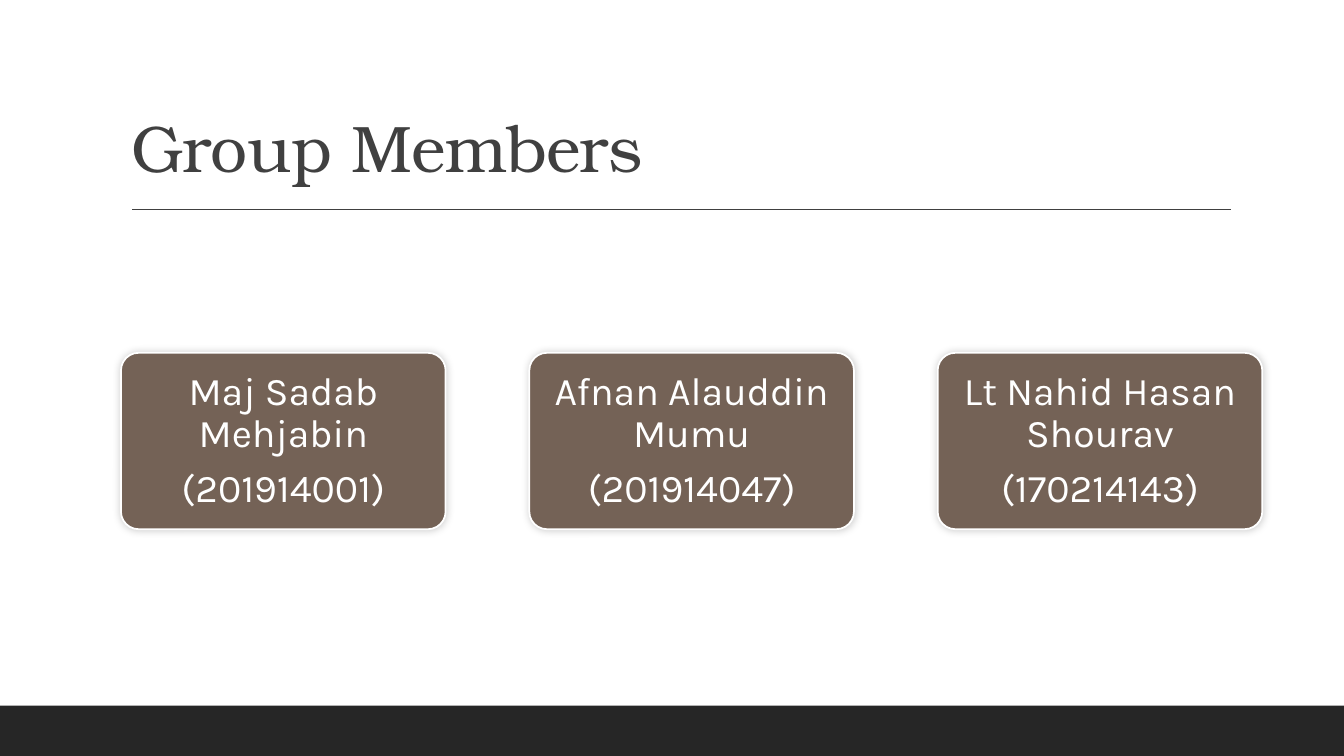
from dataclasses import dataclass

from lxml import etree
from pptx import Presentation
from pptx import util as u
from pptx.dml import color
from pptx.enum import shapes, text
from pptx.oxml import ns

WIDTH, HEIGHT = u.Inches(13.33), u.Inches(7.5)
COLORS = {"ink": "404040", "band": "262626", "card": "746256",
          "white": "FFFFFF", "shadow": "000000"}
FONTS = {"title": "TeX Gyre Bonum", "card": "Karla"}
MARGIN, CARD_TOP = 0.09, 3.5 / 7.5
CARD_WIDTH, CARD_HEIGHT = 3.22 / 13.33, 1.75 / 7.5
CARD_STEP = 4.05 / 13.33


@dataclass(frozen=True)
class Member:
    name: str
    number: str


MEMBERS = [
    Member("Maj Sadab Mehjabin", "(201914001)"),
    Member("Afnan Alauddin Mumu", "(201914047)"),
    Member("Lt Nahid Hasan Shourav", "(170214143)"),
]


def across(share: float) -> int:
    return round(WIDTH * share)


def down(share: float) -> int:
    return round(HEIGHT * share)


def rgb(name: str) -> color.RGBColor:
    return color.RGBColor.from_string(COLORS[name])


def style_font(font, face: str, size: float, ink: str) -> None:
    font.name = FONTS[face]
    font.size = u.Pt(size)
    font.color.rgb = rgb(ink)


def add_band(page) -> None:
    band = page.shapes.add_shape(shapes.MSO_SHAPE.RECTANGLE,
                                 0, down(14 / 15), WIDTH, down(1 / 15))
    band.fill.solid()
    band.fill.fore_color.rgb = rgb("band")
    band.line.fill.background()
    band.shadow.inherit = False


def add_rule(page) -> None:
    height = down(2.08 / 7.5)
    rule = page.shapes.add_connector(shapes.MSO_CONNECTOR.STRAIGHT,
                                     across(1.31 / 13.33), height,
                                     across(12.21 / 13.33), height)
    rule.line.color.rgb = rgb("ink")
    rule.line.width = u.Pt(1)
    etree.SubElement(rule._element.spPr, ns.qn("a:effectLst"))


def format_title(page, wording: str) -> None:
    title = page.shapes.title
    title.left, title.top = across(MARGIN), down(0.31 / 7.5)
    title.width, title.height = across(11 / 13.33), down(1.59 / 7.5)
    frame = title.text_frame
    frame.text = wording
    frame.auto_size = text.MSO_AUTO_SIZE.NONE
    frame.vertical_anchor = text.MSO_ANCHOR.BOTTOM
    para = frame.paragraphs[0]
    para.alignment = text.PP_ALIGN.LEFT
    para.line_spacing = 0.9
    span = para.runs[0]
    style_font(span.font, "title", 47, "ink")
    span.font._element.set("spc", "-50")


def add_glow(box) -> None:
    box.shadow.inherit = False
    effects = box._element.spPr.find(ns.qn("a:effectLst"))
    shadow = etree.SubElement(effects, ns.qn("a:outerShdw"),
                              blurRad=str(u.Pt(6)), dist="0",
                              dir=str(225 * 60000), rotWithShape="0")
    shade = etree.SubElement(shadow, ns.qn("a:srgbClr"), val=COLORS["shadow"])
    etree.SubElement(shade, ns.qn("a:alpha"), val="20000")


def add_card(page, column: int, member: Member) -> None:
    box = page.shapes.add_shape(shapes.MSO_SHAPE.ROUNDED_RECTANGLE,
                                across(MARGIN + column * CARD_STEP), down(CARD_TOP),
                                across(CARD_WIDTH), down(CARD_HEIGHT))
    box.adjustments[0] = 0.1
    box.fill.solid()
    box.fill.fore_color.rgb = rgb("card")
    box.line.color.rgb = rgb("white")
    box.line.width = u.Pt(1.25)
    add_glow(box)
    frame = box.text_frame
    frame.word_wrap = True
    frame.vertical_anchor = text.MSO_ANCHOR.MIDDLE
    frame.margin_left = frame.margin_right = u.Inches(0.18)
    frame.margin_top = frame.margin_bottom = u.Inches(0.18)
    frame.text = f"{member.name}\n{member.number}"
    for para in frame.paragraphs:
        para.alignment = text.PP_ALIGN.CENTER
        para.line_spacing = 0.9
        para.space_after = u.Pt(9)
        style_font(para.runs[0].font, "card", 28, "white")


def main() -> None:
    deck = Presentation()
    deck.slide_width, deck.slide_height = WIDTH, HEIGHT
    page = deck.slides.add_slide(deck.slide_layouts[5])
    add_band(page)
    add_rule(page)
    format_title(page, "Group Members")
    for column, member in enumerate(MEMBERS):
        add_card(page, column, member)
    deck.save("out.pptx")


if __name__ == "__main__":
    main()
